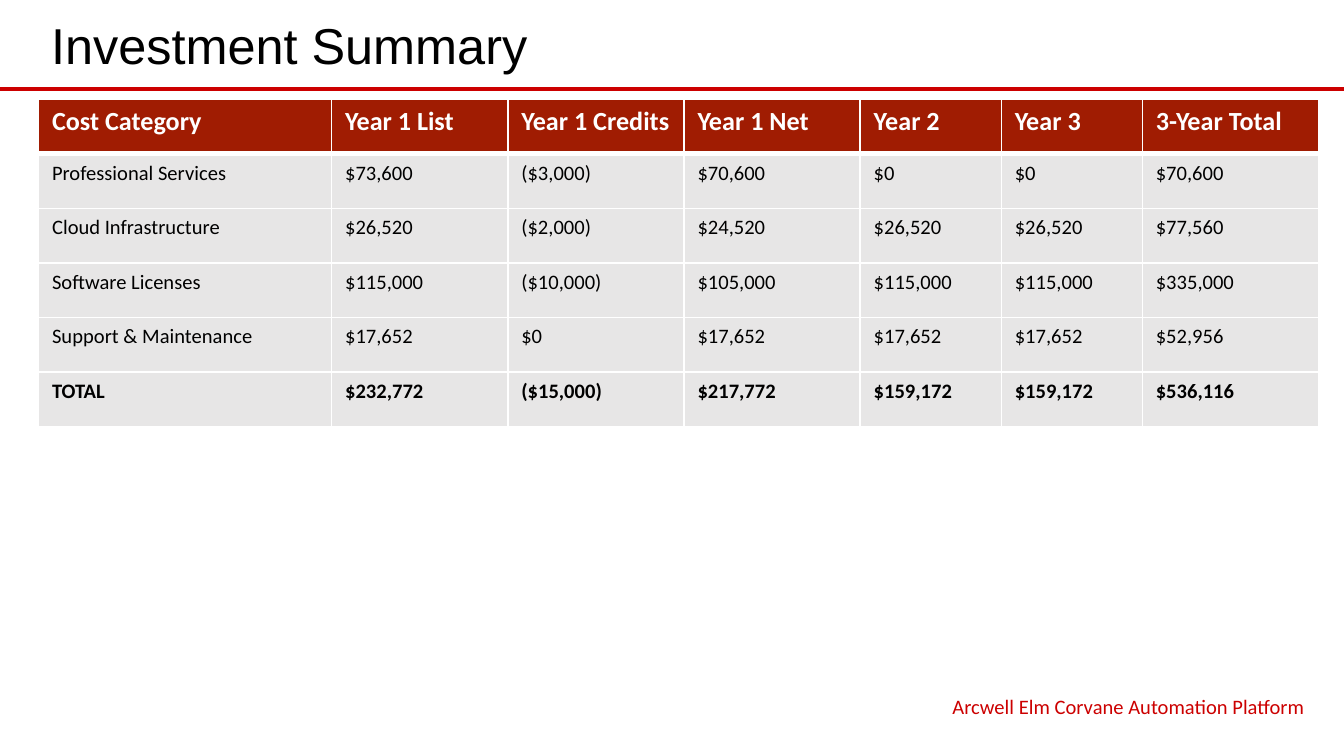
from lxml import etree
from pptx import Presentation
from pptx import util as u
from pptx.dml.color import RGBColor
from pptx.enum import shapes, text
from pptx.oxml import ns

RED = RGBColor(0xCC, 0x00, 0x00)
BRICK = RGBColor(0xA0, 0x1C, 0x02)
GREY = RGBColor(0xE7, 0xE6, 0xE6)
BLACK = RGBColor(0x00, 0x00, 0x00)
WHITE = RGBColor(0xFF, 0xFF, 0xFF)

SLIDE_WIDTH, SLIDE_HEIGHT = 720, 405
LEFT, CONTENT_WIDTH = 20.2, 686
COLUMN_WIDTHS = [157, 94.4, 94.4, 94.4, 75.6, 75.6, 94.4]
ROW_HEIGHT = 29.2

COSTS = [
    ["Cost Category", "Year 1 List", "Year 1 Credits", "Year 1 Net", "Year 2", "Year 3", "3-Year Total"],
    ["Professional Services", "$73,600", "($3,000)", "$70,600", "$0", "$0", "$70,600"],
    ["Cloud Infrastructure", "$26,520", "($2,000)", "$24,520", "$26,520", "$26,520", "$77,560"],
    ["Software Licenses", "$115,000", "($10,000)", "$105,000", "$115,000", "$115,000", "$335,000"],
    ["Support & Maintenance", "$17,652", "$0", "$17,652", "$17,652", "$17,652", "$52,956"],
    ["TOTAL", "$232,772", "($15,000)", "$217,772", "$159,172", "$159,172", "$536,116"],
]


class SlideBuilder:
    """Draws styled elements on one slide; all lengths are in points."""

    title_font = "Arial"
    body_font = "Calibri"

    def __init__(self, slide):
        self.slide = slide

    def add_run(self, paragraph, words, size, color, font=body_font, bold=False):
        run = paragraph.add_run()
        run.text = words
        run.font.name = font
        run.font.size = u.Pt(size)
        run.font.bold = bold
        run.font.color.rgb = color

    def title(self, words, left, top, width, height):
        shape = self.slide.shapes.title
        shape.left, shape.top = u.Pt(left), u.Pt(top)
        shape.width, shape.height = u.Pt(width), u.Pt(height)
        frame = shape.text_frame
        frame.vertical_anchor = text.MSO_ANCHOR.MIDDLE
        paragraph = frame.paragraphs[0]
        paragraph.alignment = text.PP_ALIGN.LEFT
        self.add_run(paragraph, words, 27, BLACK, self.title_font)

    def rule(self, top, weight):
        connector = self.slide.shapes.add_connector(
            shapes.MSO_CONNECTOR.STRAIGHT, 0, u.Pt(top), u.Pt(SLIDE_WIDTH), u.Pt(top))
        connector.line.color.rgb = RED
        connector.line.width = u.Pt(weight)
        etree.SubElement(connector._element.spPr, ns.qn("a:effectLst"))

    def footer(self, words, left, top, width, height):
        shape = self.slide.shapes.add_textbox(u.Pt(left), u.Pt(top), u.Pt(width), u.Pt(height))
        frame = shape.text_frame
        frame.word_wrap = True
        frame.vertical_anchor = text.MSO_ANCHOR.MIDDLE
        paragraph = frame.paragraphs[0]
        paragraph.alignment = text.PP_ALIGN.RIGHT
        self.add_run(paragraph, words, 11, RED)

    def cell_borders(self, cell, bottom_weight):
        properties = cell._tc.get_or_add_tcPr()
        for side, weight in zip("LRTB", (1, 1, 1, bottom_weight)):
            line = etree.SubElement(properties, ns.qn(f"a:ln{side}"), w=str(u.Pt(weight)))
            fill = etree.SubElement(line, ns.qn("a:solidFill"))
            etree.SubElement(fill, ns.qn("a:srgbClr"), val=str(WHITE))

    def cost_table(self, rows, left, top):
        table = self.slide.shapes.add_table(
            len(rows), len(COLUMN_WIDTHS), u.Pt(left), u.Pt(top),
            u.Pt(sum(COLUMN_WIDTHS)), u.Pt(ROW_HEIGHT * len(rows))).table
        table.horz_banding = False
        for column, width in zip(table.columns, COLUMN_WIDTHS):
            column.width = u.Pt(width)
        for index, values in enumerate(rows):
            table.rows[index].height = u.Pt(ROW_HEIGHT)
            is_header = index == 0
            is_total = index == len(rows) - 1
            for cell, value in zip(table.rows[index].cells, values):
                self.cell_borders(cell, 3 if is_header else 1)
                cell.fill.solid()
                cell.fill.fore_color.rgb = BRICK if is_header else GREY
                self.add_run(cell.text_frame.paragraphs[0], value,
                             14 if is_header else 11, WHITE if is_header else BLACK,
                             bold=is_header or is_total)


def main():
    presentation = Presentation()
    presentation.slide_width = u.Pt(SLIDE_WIDTH)
    presentation.slide_height = u.Pt(SLIDE_HEIGHT)
    slide = presentation.slides.add_slide(presentation.slide_layouts[5])
    builder = SlideBuilder(slide)
    builder.rule(47.6, 2.25)
    builder.title("Investment Summary", LEFT, 3, CONTENT_WIDTH, 42)
    builder.cost_table(COSTS, LEFT + 0.5, 53.2)
    builder.footer("Arcwell Elm Corvane Automation Platform", 453, 369, 253, 19)
    presentation.save("out.pptx")


if __name__ == "__main__":
    main()
